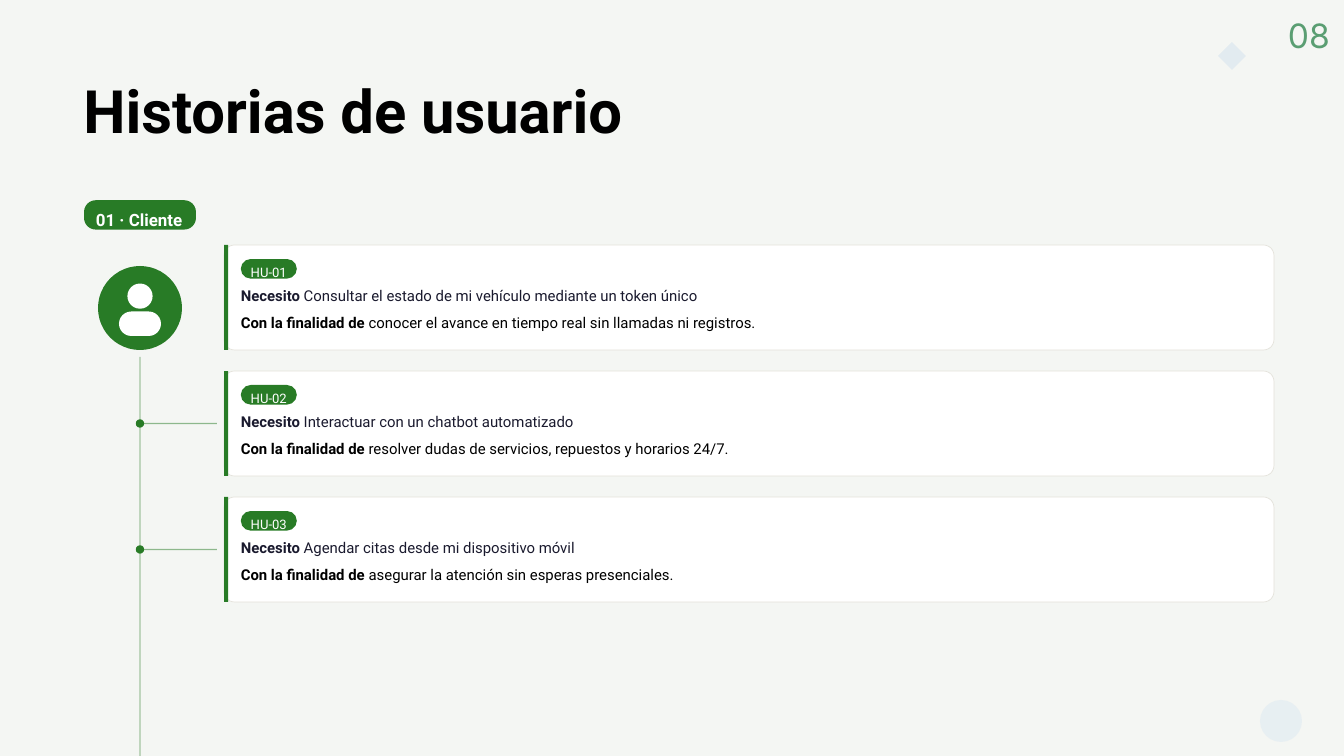
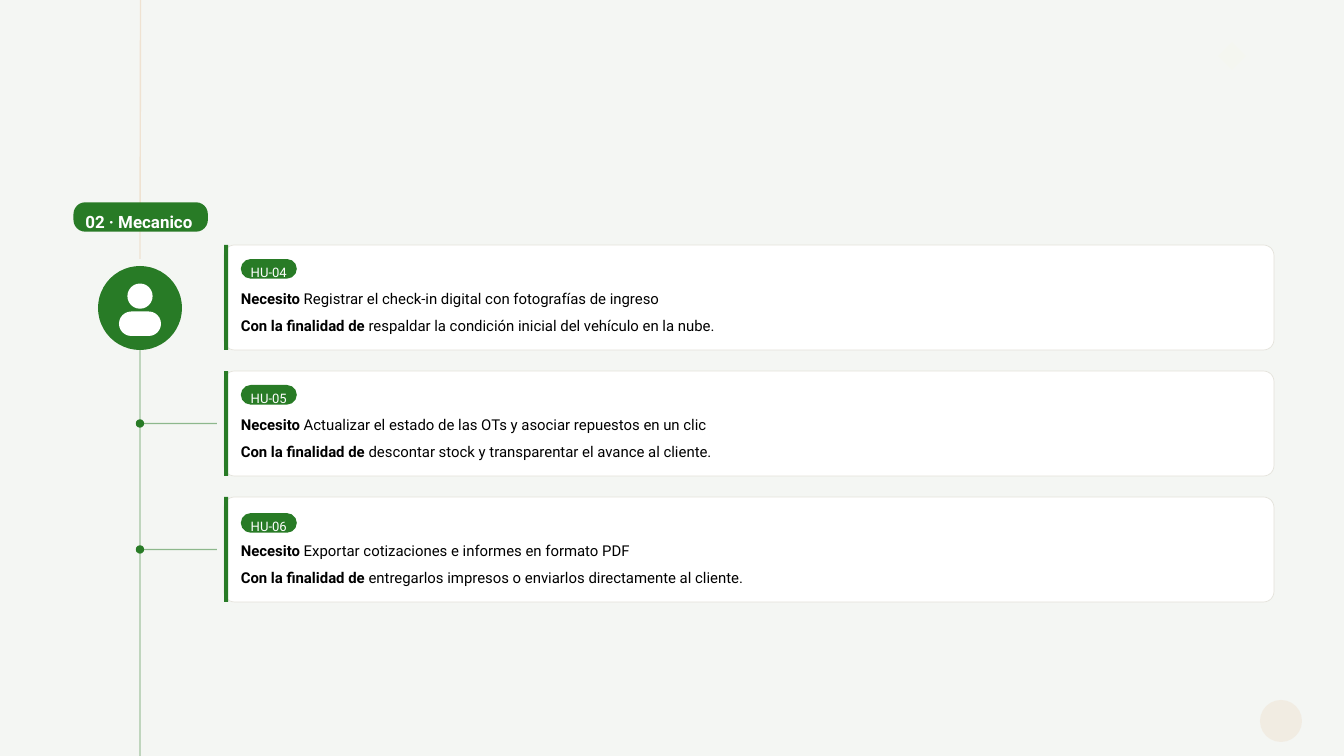
from lxml import etree
from pptx import Presentation
from pptx import util as u
from pptx.dml import color as dml
from pptx.enum import shapes, text
from pptx.oxml import ns

# Grid: 96 columns by 54 rows of square cells
WIDE, HIGH = u.Inches(20), u.Inches(11.25)
COLS, ROWS = 96, 54

INK = {
    "paper": "F4F6F3", "green": "287B26", "white": "FFFFFF", "edge": "E3E1DA",
    "black": "000000", "navy": "1A1A2E", "sage": "5A9E72", "sand": "E8C4A0",
    "sky": "A3C8ED", "blue": "4A90D9", "cream": "FCFFDE",
}
FORM = shapes.MSO_SHAPE
MID = text.PP_ALIGN.CENTER

# Shared places, in cells
SPINE = 10
CARD = dict(left=16, top=17.5, wide=75, high=7.5, step=9)


def col(n):
    return round(WIDE * n / COLS)


def row(n):
    return round(HIGH * n / ROWS)


def tint(name):
    return dml.RGBColor.from_string(INK[name])


def fade(item, share):
    """Set the opacity, in percent, of every colour of a shape."""
    if share < 100:
        for tag in item._element.spPr.iter(ns.qn("a:srgbClr")):
            etree.SubElement(tag, ns.qn("a:alpha"), val=str(share * 1000))


def write(item, *runs, size=16, lead=20.8, ink="black", font="Roboto",
          bold=False, align=text.PP_ALIGN.LEFT, inset=(0, 0), wrap=True):
    """Fill one paragraph; a run is a string or a (string, bold) pair."""
    frame = item.text_frame
    frame.word_wrap = wrap
    frame.vertical_anchor = text.MSO_ANCHOR.TOP
    frame.margin_left, frame.margin_top = col(inset[0]), row(inset[1])
    frame.margin_right = frame.margin_bottom = 0
    para = frame.paragraphs[0]
    para.alignment, para.line_spacing = align, u.Pt(lead)
    for part in runs:
        words, heavy = (part, bold) if isinstance(part, str) else part
        run = para.add_run()
        run.text = words
        run.font.name, run.font.size, run.font.bold = font, u.Pt(size), heavy
        run.font.color.rgb = tint(ink)


class Deck:
    def __init__(self):
        self.file = Presentation()
        self.file.slide_width, self.file.slide_height = WIDE, HIGH
        self.page = None

    def start(self):
        self.page = self.file.slides.add_slide(self.file.slide_layouts[6])
        fill = self.page.background.fill
        fill.solid()
        fill.fore_color.rgb = tint("paper")

    # Basic elements
    def shape(self, form, left, top, wide, high, ink="green", edge=None,
              curve=None, share=100):
        item = self.page.shapes.add_shape(
            form, col(left), row(top), col(wide), row(high))
        item.shadow.inherit = False
        item.fill.solid()
        item.fill.fore_color.rgb = tint(ink)
        if edge:
            item.line.color.rgb, item.line.width = tint(edge), u.Pt(0.75)
        else:
            item.line.fill.background()
        if curve is not None:
            item.adjustments[0] = curve
        fade(item, share)
        return item

    def disc(self, x, y, size, **style):
        half = size / 2
        return self.shape(FORM.OVAL, x - half, y - half, size, size, **style)

    def line(self, x1, y1, x2, y2, ink="green", share=40):
        item = self.page.shapes.add_connector(
            shapes.MSO_CONNECTOR.STRAIGHT, col(x1), row(y1), col(x2), row(y2))
        item.line.color.rgb, item.line.width = tint(ink), u.Pt(1.5)
        fade(item, share)
        etree.SubElement(item._element.spPr, ns.qn("a:effectLst"))

    def label(self, left, top, wide, high, *runs, **style):
        box = self.page.shapes.add_textbox(
            col(left), row(top), col(wide), row(high))
        write(box, *runs, **style)

    # Parts of a user story page
    def decor(self, disc, gem):
        self.disc(91.5, 51.5, 3, ink=disc[0], share=disc[1])
        self.shape(FORM.DIAMOND, 87, 3, 2, 2, ink=gem, share=10)

    def role(self, name, left, top, wide):
        tag = self.shape(FORM.ROUNDED_RECTANGLE, left, top, wide, 2.1, curve=0.4)
        write(tag, name, size=18.1, lead=25.3, ink="white", bold=True,
              inset=(0.6, 0.2), wrap=False)

    def person(self):
        self.disc(SPINE, 22, 6)
        self.disc(SPINE, 21.15, 1.8, ink="white")
        self.shape(FORM.ROUNDED_RECTANGLE, SPINE - 1.5, 22.25, 3, 1.75,
                   ink="white", curve=0.5)

    def branch(self, y):
        self.line(SPINE, y, 15.5, y, share=50)
        self.disc(SPINE, y, 0.6)

    def card(self, top, code, need, goal, ink, drop, nudge):
        left, wide, high = CARD["left"], CARD["wide"], CARD["high"]
        self.shape(FORM.ROUNDED_RECTANGLE, left, top, wide, high,
                   ink="white", edge="edge", curve=0.1)
        self.shape(FORM.RECTANGLE, left, top, 0.3, high)
        pill = self.shape(FORM.ROUNDED_RECTANGLE, left + 1.2, top + 1 + nudge,
                          4, 1.4, curve=0.5)
        write(pill, code, size=14, lead=19.6, ink="white", align=MID, wrap=False)
        lines = (("Necesito", need, ink), ("Con la finalidad de", goal, "black"))
        for n, (lead, rest, hue) in enumerate(lines):
            self.label(left + 1.2, top + drop + 1.93 * n, 72.6, 1.3,
                       (lead, True), (" " + rest, False), ink=hue)

    def tales(self, first, pairs, ink="black", drop=3.07, nudges=(0, 0, 0)):
        for n, (need, goal) in enumerate(pairs):
            top = CARD["top"] + CARD["step"] * n
            if n:
                self.branch(top + CARD["high"] / 2)
            self.card(top, f"HU-{first + n:02}", need, goal, ink, drop, nudges[n])


CLIENT = [
    ("Consultar el estado de mi vehículo mediante un token único",
     "conocer el avance en tiempo real sin llamadas ni registros."),
    ("Interactuar con un chatbot automatizado",
     "resolver dudas de servicios, repuestos y horarios 24/7."),
    ("Agendar citas desde mi dispositivo móvil",
     "asegurar la atención sin esperas presenciales."),
]
REPAIR = [
    ("Registrar el check-in digital con fotografías de ingreso",
     "respaldar la condición inicial del vehículo en la nube."),
    ("Actualizar el estado de las OTs y asociar repuestos en un clic",
     "descontar stock y transparentar el avance al cliente."),
    ("Exportar cotizaciones e informes en formato PDF",
     "entregarlos impresos o enviarlos directamente al cliente."),
]


def main():
    deck = Deck()

    # Client stories
    deck.start()
    deck.person()
    deck.line(SPINE, 25.5, SPINE, ROWS)
    deck.tales(1, CLIENT, ink="navy", drop=2.88)
    deck.decor(("sky", 15), "blue")
    deck.label(4, 5.7, 42.4, 4.8, "Historias de usuario", size=64, lead=70.4,
               bold=True, align=MID)
    deck.label(92, 0.6, 3.2, 3.25, "08", size=36, lead=50.4, ink="sage",
               font="Inter", wrap=False)
    deck.role("01 · Cliente", 6, 14.3, 8)

    # Mechanic stories
    deck.start()
    deck.person()
    deck.line(SPINE, 25, SPINE, ROWS)
    deck.tales(4, REPAIR, nudges=(0, 0, 0.15))
    deck.decor(("sand", 20), "cream")
    deck.line(SPINE + 0.04, 0, SPINE, 18.5, ink="sand")
    deck.role("02 · Mecanico", 5.25, 14.45, 9.6)

    deck.file.save("out.pptx")


if __name__ == "__main__":
    main()
